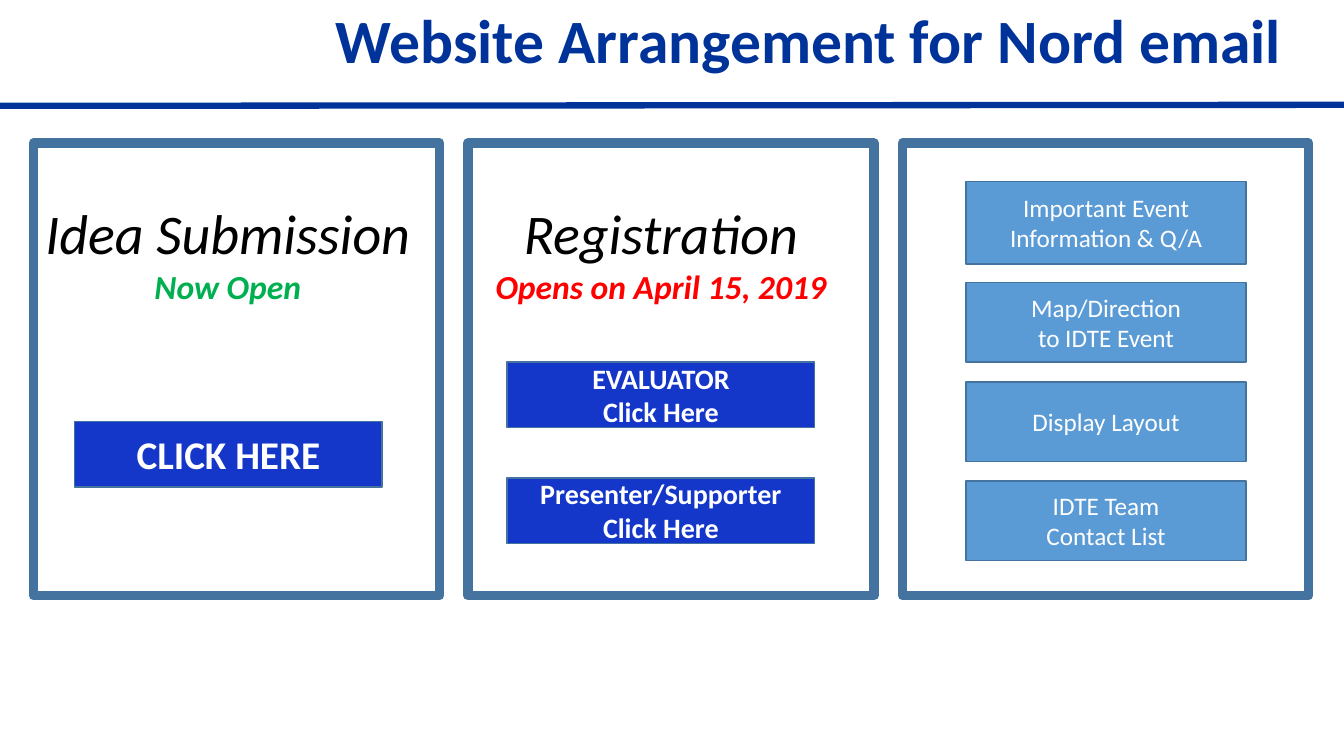
from lxml import etree
from pptx import Presentation
from pptx.dml.color import RGBColor
from pptx.enum.shapes import MSO_CONNECTOR, MSO_SHAPE
from pptx.enum.text import MSO_ANCHOR, MSO_AUTO_SIZE, PP_ALIGN
from pptx.oxml.ns import qn
from pptx.util import Inches, Pt

STRAIGHT = MSO_CONNECTOR.STRAIGHT
RECTANGLE = MSO_SHAPE.RECTANGLE
MIDDLE = MSO_ANCHOR.MIDDLE
NO_AUTO_SIZE = MSO_AUTO_SIZE.NONE
CENTER, RIGHT = PP_ALIGN.CENTER, PP_ALIGN.RIGHT

FONT = "Calibri"
COLORS = {
    "navy": "003399",
    "frame": "43739E",
    "button": "1437CA",
    "link": "5B9BD5",
    "open": "00B050",
    "soon": "FF0000",
    "black": "000000",
    "white": "FFFFFF",
}


class SlideBuilder:
    """Holds the slide style and adds each kind of element."""

    def __init__(self, slide):
        self.slide = slide

    def color(self, name):
        return RGBColor.from_string(COLORS[name])

    def fill_paragraph(self, paragraph, text, color, alignment=CENTER, **formats):
        paragraph.text = text
        paragraph.alignment = alignment
        for name, value in {"name": FONT, **formats}.items():
            setattr(paragraph.font, name, value)
        paragraph.font.color.rgb = self.color(color)

    def title(self, text, *box):
        shape = self.slide.shapes.title
        for name, value in zip(("left", "top", "width", "height"), box):
            setattr(shape, name, Inches(value))
        frame = shape.text_frame
        frame.word_wrap = True
        frame.auto_size = NO_AUTO_SIZE
        frame.vertical_anchor = MIDDLE
        paragraph = frame.paragraphs[0]
        self.fill_paragraph(paragraph, text, "navy", RIGHT, size=Pt(44), bold=True)
        paragraph.line_spacing = 0.9

    def rule(self, *ends):
        line = self.slide.shapes.add_connector(STRAIGHT, *map(Inches, ends))
        line.line.color.rgb = self.color("navy")
        line.line.width = Pt(4.5)
        etree.SubElement(line._element.spPr, qn("a:effectLst"))

    def rectangle(self, box, line_width, fill=None):
        shape = self.slide.shapes.add_shape(RECTANGLE, *map(Inches, box))
        shape.shadow.inherit = False
        shape.line.color.rgb = self.color("frame")
        shape.line.width = Pt(line_width)
        if fill:
            shape.fill.solid()
            shape.fill.fore_color.rgb = self.color(fill)
        else:
            shape.fill.background()
        return shape

    def button(self, box, fill, lines, size, bold=False):
        frame = self.rectangle(box, 1, fill).text_frame
        frame.word_wrap = True
        frame.vertical_anchor = MIDDLE
        for index, text in enumerate(lines):
            paragraph = frame.add_paragraph() if index else frame.paragraphs[0]
            self.fill_paragraph(paragraph, text, "white", size=Pt(size), bold=bold)

    def heading(self, box, name, status, status_color):
        frame = self.slide.shapes.add_textbox(*map(Inches, box)).text_frame
        frame.word_wrap = False
        self.fill_paragraph(frame.paragraphs[0], name, "black",
                            size=Pt(40), italic=True)
        self.fill_paragraph(frame.add_paragraph(), status, status_color,
                            size=Pt(24), italic=True, bold=True)


def main():
    presentation = Presentation()
    presentation.slide_width = Inches(13.33)
    presentation.slide_height = Inches(7.5)
    slide = presentation.slides.add_slide(presentation.slide_layouts[5])
    builder = SlideBuilder(slide)

    builder.rule(0, 1.05, 13.33, 1.04)
    builder.title("Website Arrangement for Nord email", 2.61, 0.04, 10.21, 0.79)

    for column in range(3):
        builder.rectangle((0.33 + 4.31 * column, 1.42, 4.03, 4.49), 6.75)

    builder.heading((0.33, 1.92, 3.86, 1.18), "Idea Submission", "Now Open", "open")
    builder.heading((4.8, 1.92, 3.51, 1.18), "Registration",
                    "Opens on April 15, 2019", "soon")

    buttons = [
        (0.74, 4.18, ["CLICK HERE"], 28),
        (5.03, 3.59, ["EVALUATOR", "Click Here"], 20),
        (5.03, 4.74, ["Presenter/Supporter", "Click Here"], 20),
    ]
    for left, top, lines, size in buttons:
        builder.button((left, top, 3.05, 0.65), "button", lines, size, bold=True)

    links = [
        (1.8, 0.82, ["Important Event Information & Q/A"]),
        (2.8, 0.79, ["Map/Direction", "to IDTE Event"]),
        (3.79, 0.79, ["Display Layout"]),
        (4.77, 0.79, ["IDTE Team", "Contact List"]),
    ]
    for top, height, lines in links:
        builder.button((9.58, top, 2.78, height), "link", lines, 18)

    presentation.save("out.pptx")


if __name__ == "__main__":
    main()
